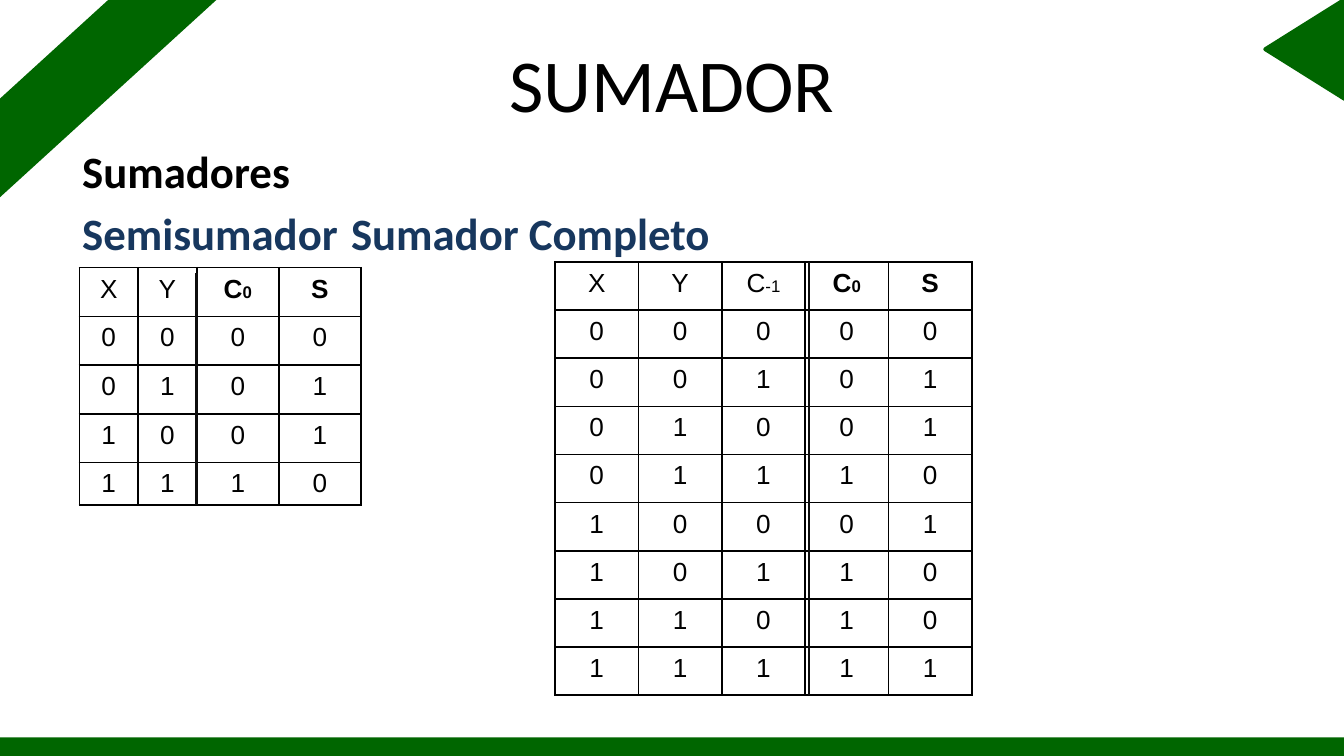
from dataclasses import dataclass
from itertools import product

from lxml import etree
from pptx import Presentation
from pptx import util as u
from pptx.dml.color import RGBColor
from pptx.enum import shapes, text
from pptx.oxml import ns

BLACK = RGBColor(0x00, 0x00, 0x00)
INK = RGBColor(0x0D, 0x0D, 0x0D)
NAVY = RGBColor(0x17, 0x37, 0x5E)
GREEN = RGBColor(0x00, 0x66, 0x00)


@dataclass
class Part:
    kind: shapes.MSO_SHAPE
    box: tuple[float, ...]
    turn: int = 0
    edge: bool = False


@dataclass
class Truth:
    left: float
    top: float
    cols: list[float]
    rows: list[float]
    heads: list[tuple[str, str]]
    bits: int


@dataclass
class Rule:
    x: float
    top: float
    end: float


PARTS = [
    Part(shapes.MSO_SHAPE.DIAGONAL_STRIPE, (0, 0, 4.09, 3.73)),
    Part(shapes.MSO_SHAPE.ISOSCELES_TRIANGLE, (23.72, 0.18, 1.88, 1.5), 270, True),
    Part(shapes.MSO_SHAPE.RECTANGLE, (0, 13.94, 25.4, 0.35)),
]
TABLES = [
    Truth(1.5, 5.06, [1.11, 1.11, 1.55, 1.55], [0.92] * 4 + [0.53],
          [("X", ""), ("Y", ""), ("C", "0"), ("S", "")], 2),
    Truth(10.49, 4.95, [1.575] * 5, [0.91] * 9,
          [("X", ""), ("Y", ""), ("C", "-1"), ("C", "0"), ("S", "")], 3),
]
RULES = [Rule(3.71, 5.16, 9.55), Rule(15.29, 4.95, 13.13)]


def place(item, box: tuple[float, ...]) -> None:
    item.left, item.top, item.width, item.height = map(u.Cm, box)


def add_run(para, words: str, size: float, face: str,
            color: RGBColor = BLACK, bold: bool = False) -> None:
    run = para.add_run()
    run.text = words
    font = run.font
    font.size, font.name, font.bold = u.Pt(size), face, bold
    font.color.rgb = color


def add_tag(root, name: str, **attrs: str):
    return etree.SubElement(root, ns.qn(name), attrs)


def fill_cell(cell, words: str, sub: str, bold: bool) -> None:
    para = cell.text_frame.paragraphs[0]
    para.alignment = text.PP_ALIGN.CENTER
    add_run(para, words, 14, "Arial", bold=bold)
    if sub:
        add_run(para, sub, 9, "Arial", bold=bold)
    props = cell._tc.get_or_add_tcPr()
    for side in ("a:lnL", "a:lnR", "a:lnT", "a:lnB"):
        line = add_tag(props, side, w=str(u.Pt(1)))
        add_tag(add_tag(line, "a:solidFill"), "a:srgbClr", val=str(BLACK))
    cell.fill.background()


def draw_table(slide, truth: Truth) -> None:
    cols, rows = truth.cols, truth.rows
    grid = slide.shapes.add_table(
        len(rows), len(cols), u.Cm(truth.left), u.Cm(truth.top),
        u.Cm(sum(cols)), u.Cm(sum(rows))).table
    grid.first_row = grid.horz_banding = False
    for col, width in zip(grid.columns, cols):
        col.width = u.Cm(width)
    for row, height in zip(grid.rows, rows):
        row.height = u.Cm(height)
    for c, (name, sub) in enumerate(truth.heads):
        fill_cell(grid.cell(0, c), name, sub, c >= truth.bits)
    for r, bits in enumerate(product((0, 1), repeat=truth.bits), 1):
        for c, bit in enumerate(bits + divmod(sum(bits), 2)):
            fill_cell(grid.cell(r, c), str(bit), "", False)


def draw_rule(slide, rule: Rule) -> None:
    line = slide.shapes.add_connector(
        shapes.MSO_CONNECTOR.STRAIGHT, u.Cm(rule.x), u.Cm(rule.top),
        u.Cm(rule.x), u.Cm(rule.end))
    line.line.color.rgb = INK
    line.line.width = u.Pt(1.5)
    add_tag(line._element.spPr, "a:effectLst")


def draw_part(slide, part: Part) -> None:
    item = slide.shapes.add_shape(part.kind, *map(u.Cm, part.box))
    item.rotation = part.turn
    item.shadow.inherit = False
    item.fill.solid()
    item.fill.fore_color.rgb = GREEN
    if part.edge:
        item.line.color.rgb = GREEN
        item.line.width = u.Pt(2)
    else:
        item.line.fill.background()


def draw_title(slide) -> None:
    title = slide.shapes.title
    place(title, (1.27, 0.58, 22.86, 1.98))
    frame = title.text_frame
    frame.auto_size = text.MSO_AUTO_SIZE.NONE
    frame.vertical_anchor = text.MSO_ANCHOR.MIDDLE
    para = frame.paragraphs[0]
    para.alignment = text.PP_ALIGN.CENTER
    add_run(para, "SUMADOR", 40, "Calibri")


def draw_body(slide) -> None:
    body = slide.placeholders[1]
    place(body, (1.3, 2.58, 22.86, 9.42))
    frame = body.text_frame
    frame.auto_size = text.MSO_AUTO_SIZE.NONE
    lines = [("Sumadores", BLACK, 0), ("Semisumador\tSumador Completo", NAVY, 4.8)]
    for i, (words, color, gap) in enumerate(lines):
        para = frame.add_paragraph() if i else frame.paragraphs[0]
        props = para._p.get_or_add_pPr()
        props.set("marL", "0")
        props.set("indent", "0")
        add_tag(props, "a:buNone")
        tabs = add_tag(props, "a:tabLst")
        add_tag(tabs, "a:tab", pos=str(u.Cm(9.22)), algn="l")
        para.space_before = u.Pt(gap)
        add_run(para, words, 24, "Calibri", color, True)


def main() -> None:
    deck = Presentation()
    deck.slide_width, deck.slide_height = u.Cm(25.4), u.Cm(14.29)
    slide = deck.slides.add_slide(deck.slide_layouts[1])
    draw_title(slide)
    draw_body(slide)
    for truth in TABLES:
        draw_table(slide, truth)
    for rule in RULES:
        draw_rule(slide, rule)
    for part in PARTS:
        draw_part(slide, part)
    deck.save("out.pptx")


if __name__ == "__main__":
    main()
